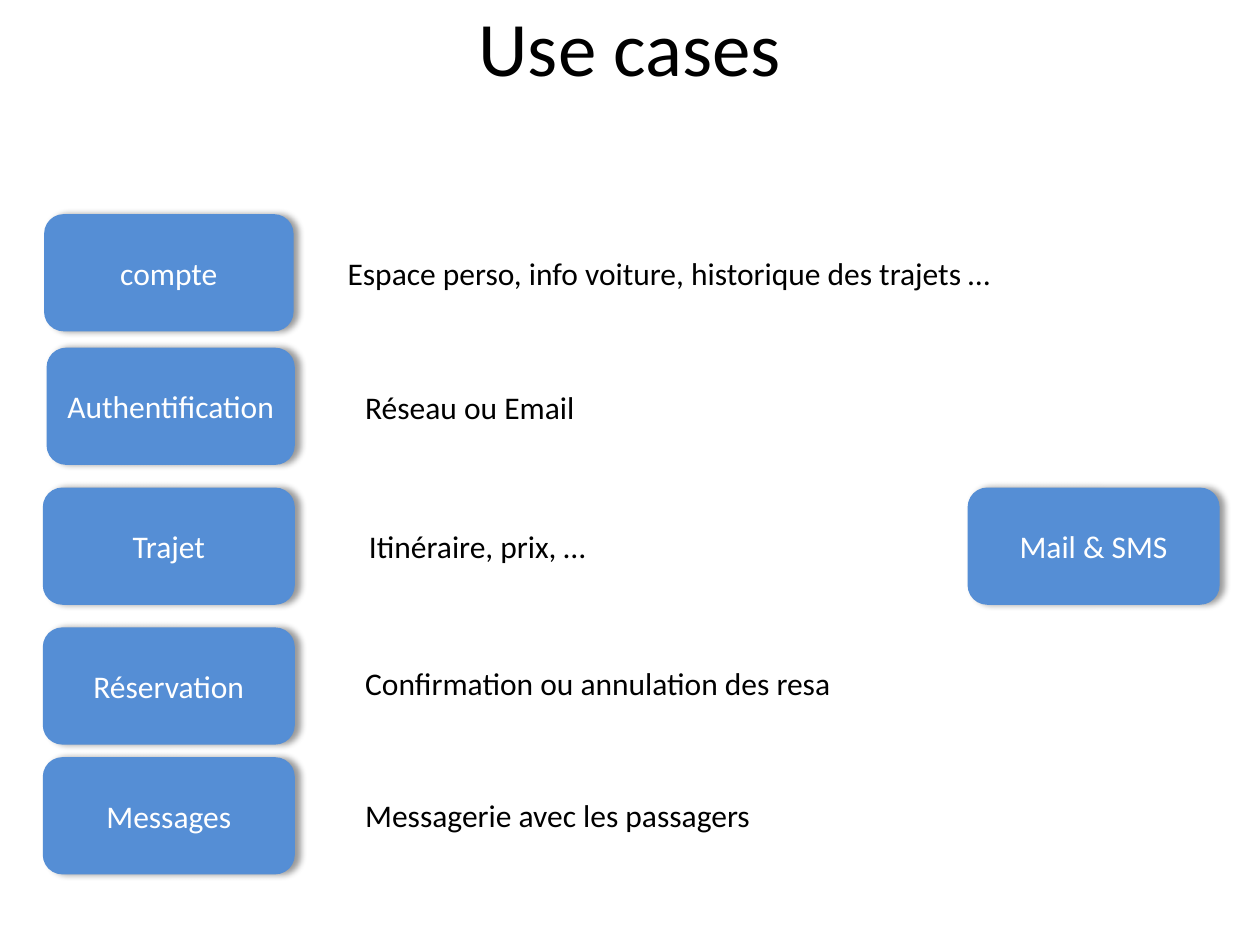
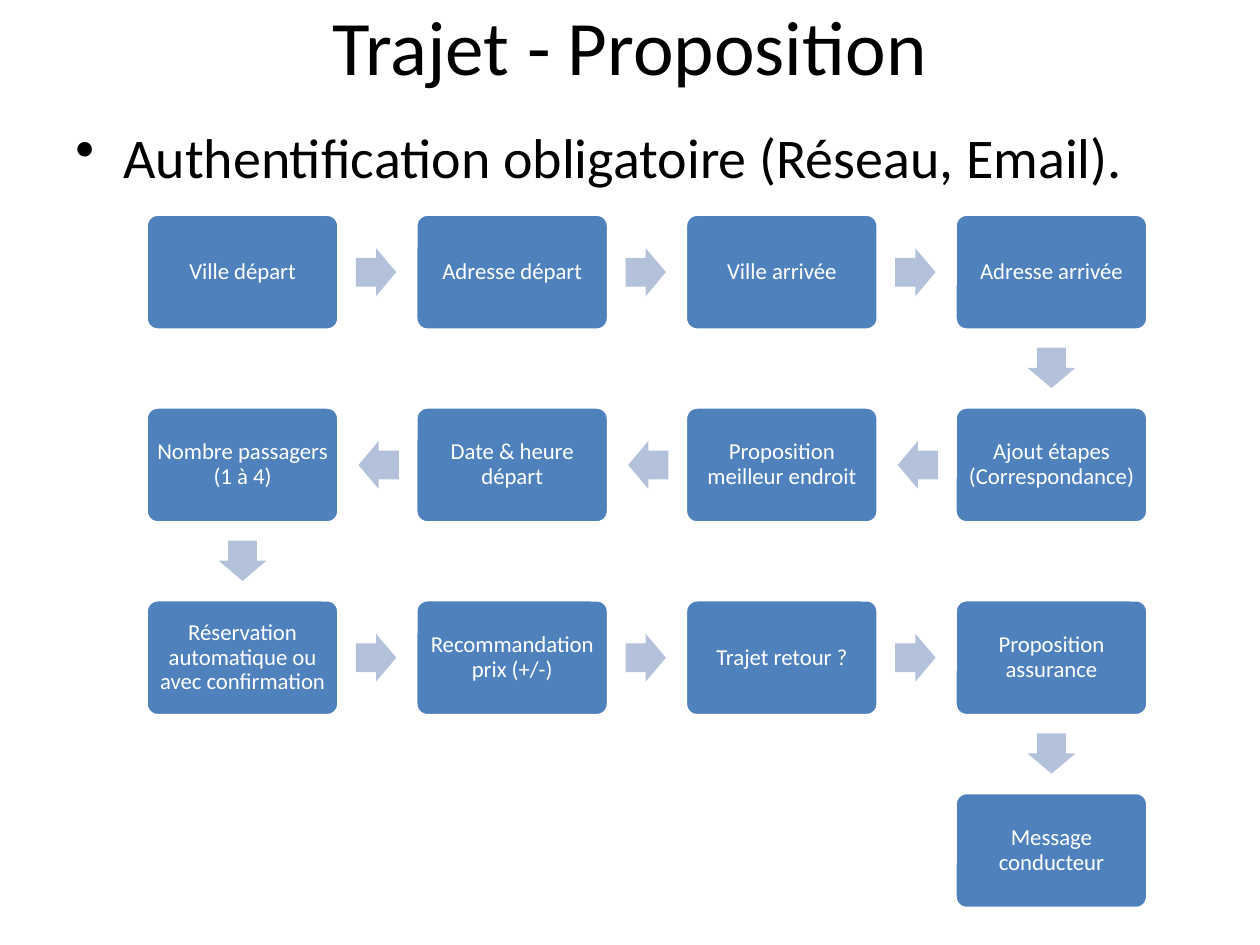
from dataclasses import dataclass

from lxml import etree
from pptx import Presentation
from pptx.dml.color import RGBColor
from pptx.enum.shapes import MSO_SHAPE
from pptx.enum.text import MSO_ANCHOR, MSO_AUTO_SIZE, PP_ALIGN
from pptx.oxml.ns import qn
from pptx.util import Inches, Pt

ROUNDED = MSO_SHAPE.ROUNDED_RECTANGLE
ARROW = MSO_SHAPE.RIGHT_ARROW
MIDDLE = MSO_ANCHOR.MIDDLE
CENTER = PP_ALIGN.CENTER
LEFT = PP_ALIGN.LEFT
FIT_SHAPE = MSO_AUTO_SIZE.SHAPE_TO_FIT_TEXT
TITLE_ONLY = 5


@dataclass(frozen=True)
class Theme:
    font: str = "Calibri"
    ink: str = "000000"
    white: str = "FFFFFF"
    case: str = "558ED5"
    step: str = "4F81BD"
    arrow: str = "B3C1DB"
    title_size: int = 44
    bullet_size: int = 32
    text_size: int = 18
    step_size: int = 13


THEME = Theme()

# Label, (left, top, width) of its box, description, (left, top, width) of its text
USE_CASES = [
    ("compte", (0.35, 1.7, 1.98),
     "Espace perso, info voiture, historique des trajets …", (2.66, 1.97, 5.59)),
    ("Authentification", (0.37, 2.76, 1.97), "Réseau ou Email", (2.8, 3.03, 5.59)),
    ("Trajet", (0.34, 3.87, 2), "Itinéraire, prix, …", (2.83, 4.13, 4.25)),
    ("Réservation", (0.34, 4.98, 2),
     "Confirmation ou annulation des resa", (2.8, 5.22, 5.59)),
    ("Messages", (0.34, 6.01, 2), "Messagerie avec les passagers", (2.8, 6.27, 3.7)),
]
CASE_H = 0.93

STEPS = [
    "Ville départ", "Adresse départ", "Ville arrivée", "Adresse arrivée",
    "Ajout étapes (Correspondance)", "Proposition meilleur endroit",
    "Date & heure départ", "Nombre passagers (1 à 4)",
    "Réservation automatique ou avec confirmation", "Recommandation prix (+/-)",
    "Trajet retour ?", "Proposition assurance", "Message conducteur",
]
COLUMNS = 4
FLOW_X, FLOW_Y = 1.16, 1.7
PITCH_X, PITCH_Y = 2.14, 1.53
STEP_W, STEP_H = 1.53, 0.92
ARROW_W, ARROW_H = 0.32, 0.38
ARROW_REACH_X, ARROW_REACH_Y = 1.06, 0.76


def rgb(color):
    return RGBColor.from_string(color)


def write(tf, text, size, color, align=LEFT):
    tf.word_wrap = True
    p = tf.paragraphs[0]
    p.text = text
    p.alignment = align
    p.font.name = THEME.font
    p.font.size = Pt(size)
    p.font.color.rgb = rgb(color)
    return p


def add_titled_slide(prs, title, top):
    s = prs.slides.add_slide(prs.slide_layouts[TITLE_ONLY])
    sp = s.shapes.title
    sp.left, sp.top, sp.width, sp.height = map(Inches, (0.5, top, 9, 1.25))
    sp.text_frame.vertical_anchor = MIDDLE
    write(sp.text_frame, title, THEME.title_size, THEME.ink, CENTER)
    return s


def add_filled(s, kind, box, fill):
    sp = s.shapes.add_shape(kind, *map(Inches, box))
    sp.fill.solid()
    sp.fill.fore_color.rgb = rgb(fill)
    sp.line.fill.background()
    sp.shadow.inherit = False
    return sp


def add_text(s, box, text, size):
    tf = s.shapes.add_textbox(*map(Inches, box)).text_frame
    p = write(tf, text, size, THEME.ink)
    tf.auto_size = FIT_SHAPE
    return p


def add_soft_shadow(sp):
    effects = sp._element.spPr.find(qn("a:effectLst"))
    shadow = etree.SubElement(effects, qn("a:outerShdw"), blurRad=str(Pt(4)),
                              dist=str(Pt(3)), dir="0", rotWithShape="0")
    color = etree.SubElement(shadow, qn("a:srgbClr"), val=THEME.ink)
    etree.SubElement(color, qn("a:alpha"), val="40000")


def add_case(s, label, left, top, width):
    sp = add_filled(s, ROUNDED, (left, top, width, CASE_H), THEME.case)
    add_soft_shadow(sp)
    sp.text_frame.vertical_anchor = MIDDLE
    write(sp.text_frame, label, THEME.text_size, THEME.white, CENTER)


def add_bullet(s, box, text):
    p = add_text(s, box, text, THEME.bullet_size)
    p.space_before = Pt(6.4)
    pPr = p._p.get_or_add_pPr()
    pPr.set("marL", str(Inches(0.38)))
    pPr.set("indent", str(Inches(-0.38)))
    bullet = etree.Element(qn("a:buChar"), char="•")
    pPr.find(qn("a:defRPr")).addprevious(bullet)


def step_cell(i):
    """Column and row of step i; every second row runs from right to left."""
    row, col = divmod(i, COLUMNS)
    return (COLUMNS - 1 - col if row % 2 else col), row


def add_step(s, text, col, row):
    box = (FLOW_X + col * PITCH_X, FLOW_Y + row * PITCH_Y, STEP_W, STEP_H)
    sp = add_filled(s, ROUNDED, box, THEME.step)
    sp.adjustments[0] = 0.1
    sp.line.color.rgb = rgb(THEME.white)
    sp.line.width = Pt(2)
    tf = sp.text_frame
    tf.margin_left = tf.margin_right = tf.margin_top = tf.margin_bottom = Inches(0.05)
    tf.vertical_anchor = MIDDLE
    p = write(tf, text, THEME.step_size, THEME.white, CENTER)
    p.line_spacing = 0.9


def add_step_arrow(s, start, end):
    (col, row), (next_col, next_row) = start, end
    dx, dy = next_col - col, next_row - row
    x = FLOW_X + col * PITCH_X + STEP_W / 2 + dx * ARROW_REACH_X
    y = FLOW_Y + row * PITCH_Y + STEP_H / 2 + dy * ARROW_REACH_Y
    box = (x - ARROW_W / 2, y - ARROW_H / 2, ARROW_W, ARROW_H)
    sp = add_filled(s, ARROW, box, THEME.arrow)
    sp.adjustments[0], sp.adjustments[1] = 0.6, 0.5
    sp.rotation = 90 if dy else (180 if dx < 0 else 0)


def build_use_cases(prs):
    s = add_titled_slide(prs, "Use cases", -0.26)
    for label, case_place, detail, text_place in USE_CASES:
        add_case(s, label, *case_place)
        add_text(s, (*text_place, 0.4), detail, THEME.text_size)
    add_case(s, "Mail & SMS", 7.68, 3.87, 2)


def build_trip_proposal(prs):
    s = add_titled_slide(prs, "Trajet - Proposition", -0.27)
    add_bullet(s, (0.5, 0.92, 8.99, 0.63),
               "Authentification obligatoire (Réseau, Email).")
    for i, text in enumerate(STEPS):
        add_step(s, text, *step_cell(i))
        if i + 1 < len(STEPS):
            add_step_arrow(s, step_cell(i), step_cell(i + 1))


def main():
    prs = Presentation()
    prs.slide_width, prs.slide_height = Inches(10), Inches(7.5)
    build_use_cases(prs)
    build_trip_proposal(prs)
    prs.save("out.pptx")


if __name__ == "__main__":
    main()
